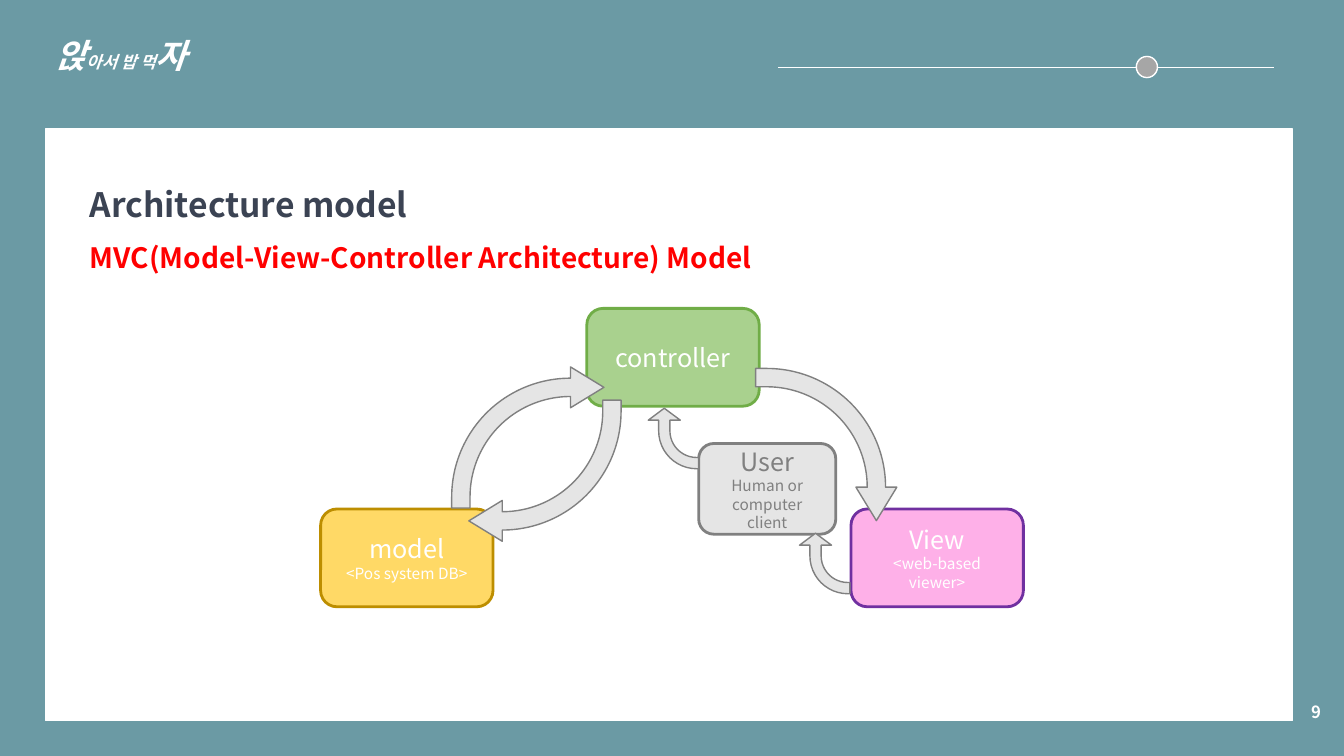
import pptx
import pptx.dml.color
import pptx.enum.shapes
import pptx.enum.text
import pptx.oxml.ns
import pptx.util
from lxml import etree

Inches = pptx.util.Inches
Pt = pptx.util.Pt
SHAPE = pptx.enum.shapes.MSO_SHAPE
ALIGN = pptx.enum.text.PP_ALIGN
ANCHOR = pptx.enum.text.MSO_ANCHOR
qn = pptx.oxml.ns.qn

FONT = "Noto Sans CJK KR"
COLORS = {
    "teal": "6B9AA4", "white": "FFFFFF", "navy": "3B4353", "red": "FF0000",
    "knob": "A6A6A6", "gray": "808080", "light gray": "E5E5E5",
    "yellow": "FFD966", "gold": "BD8E00", "light green": "A9D18E",
    "green": "70AD47", "pink": "FEB0E8", "purple": "7030A0",
}

TITLE = "Architecture model"
SUBTITLE = "MVC(Model-View-Controller Architecture) Model"
TEAM_NAME = [("앉", 24), ("아서 밥 먹", 12), ("자", 24)]
PAGE_NUMBER = "9"

COMPONENT_SIZE = (1.71, 0.97)
USER_SIZE = (1.36, 0.9)
# name, detail, position, size, fill, line, text colour
COMPONENTS = [
    ("model", "<Pos system DB>", (3.18, 5.05), COMPONENT_SIZE, "yellow", "gold", "white"),
    ("controller", None, (5.82, 3.06), COMPONENT_SIZE, "light green", "green", "white"),
    ("View", "<web-based viewer>", (8.44, 5.05), COMPONENT_SIZE, "pink", "purple", "white"),
    ("User", "Human or computer client", (6.93, 4.4), USER_SIZE, "light gray", "gray", "gray"),
]

LARGE_ARROW = ((1.51, 1.4), (0.13, 0.145, 0.237, 0.844))
SMALL_ARROW = ((0.6, 0.5), (0.223, 0.318, 0.237, 0.753))
# position, rotation, (size, adjustments)
ARROWS = [
    ((4.48, 3.64), 0, LARGE_ARROW),
    ((7.44, 3.71), 90, LARGE_ARROW),
    ((4.65, 3.97), 180, LARGE_ARROW),
    ((7.88, 5.34), 270, SMALL_ARROW),
    ((6.38, 4.1), 270, SMALL_ARROW),
]


def rgb(name):
    return pptx.dml.color.RGBColor.from_string(COLORS[name])


def add_run(paragraph, text, size, color, bold=False, italic=False):
    run = paragraph.add_run()
    run.text = text
    font = run.font
    font.size = Pt(size)
    font.bold = bold
    font.italic = italic
    font.color.rgb = rgb(color)
    font.name = FONT
    east_asian = etree.SubElement(run._r.get_or_add_rPr(), qn("a:ea"))
    east_asian.set("typeface", FONT)


def add_box(slide, kind, position, size, fill, line, line_width):
    shape = slide.shapes.add_shape(kind, *map(Inches, position + size))
    shape.shadow.inherit = False
    shape.fill.solid()
    shape.fill.fore_color.rgb = rgb(fill)
    shape.line.color.rgb = rgb(line)
    shape.line.width = Pt(line_width)
    return shape


def format_heading(shape, text, top, height, size, color):
    """Place a bold one-line heading on the panel's left text edge."""
    shape.left, shape.top = Inches(0.89), Inches(top)
    shape.width, shape.height = Inches(11.5), Inches(height)
    frame = shape.text_frame
    frame.word_wrap = True
    frame.auto_size = pptx.enum.text.MSO_AUTO_SIZE.NONE
    frame.vertical_anchor = ANCHOR.MIDDLE
    frame.margin_left = frame.margin_right = frame.margin_top = frame.margin_bottom = 0
    paragraph = frame.paragraphs[0]
    paragraph.alignment = ALIGN.LEFT
    add_run(paragraph, text, size, color, bold=True)


def add_header(slide):
    rule = slide.shapes.add_connector(
        pptx.enum.shapes.MSO_CONNECTOR.STRAIGHT,
        Inches(7.72), Inches(0.67), Inches(12.64), Inches(0.67))
    rule.line.color.rgb = rgb("white")
    rule.line.width = Pt(0.5)
    etree.SubElement(rule.element.spPr, qn("a:effectLst"))
    add_box(slide, SHAPE.OVAL, (11.27, 0.56), (0.21, 0.21), "knob", "white", 1)

    team = slide.shapes.add_textbox(Inches(0.45), Inches(0.1), Inches(4.63), Inches(0.63))
    team.text_frame.word_wrap = True
    paragraph = team.text_frame.paragraphs[0]
    paragraph.line_spacing = 1.5
    for text, size in TEAM_NAME:
        add_run(paragraph, text, size, "white", bold=True, italic=True)


def add_page_number(slide):
    box = slide.shapes.add_textbox(Inches(10.2), Inches(6.86), Inches(3), Inches(0.4))
    box.text_frame.word_wrap = True
    box.text_frame.vertical_anchor = ANCHOR.MIDDLE
    paragraph = box.text_frame.paragraphs[0]
    paragraph.alignment = ALIGN.RIGHT
    add_run(paragraph, PAGE_NUMBER, 12, "white", bold=True)


def add_component(slide, name, detail, position, size, fill, line, text_color):
    shape = add_box(slide, SHAPE.ROUNDED_RECTANGLE, position, size, fill, line, 2)
    frame = shape.text_frame
    frame.word_wrap = True
    frame.vertical_anchor = ANCHOR.MIDDLE
    paragraph = frame.paragraphs[0]
    paragraph.alignment = ALIGN.CENTER
    add_run(paragraph, name, 18, text_color)
    if detail:
        paragraph = frame.add_paragraph()
        paragraph.alignment = ALIGN.CENTER
        add_run(paragraph, detail, 11, text_color)


def add_arrow(slide, position, rotation, form):
    size, adjustments = form
    arrow = add_box(slide, SHAPE.BENT_ARROW, position, size, "light gray", "gray", 1)
    arrow.rotation = rotation
    for index, value in enumerate(adjustments):
        arrow.adjustments[index] = value


def main():
    presentation = pptx.Presentation()
    presentation.slide_width = Inches(13.33)
    presentation.slide_height = Inches(7.5)
    slide = presentation.slides.add_slide(presentation.slide_layouts.get_by_name("Title Only"))
    slide.background.fill.solid()
    slide.background.fill.fore_color.rgb = rgb("teal")

    add_header(slide)
    panel = add_box(slide, SHAPE.RECTANGLE, (0.45, 1.28), (12.37, 5.87), "white", "white", 1)
    title = slide.shapes.title
    panel.element.addnext(title.element)  # bring the title in front of the panel
    format_heading(title, TITLE, 1.78, 0.48, 24, "navy")
    subtitle = slide.shapes.add_textbox(0, 0, 0, 0)
    format_heading(subtitle, SUBTITLE, 2.35, 0.4, 20, "red")
    add_page_number(slide)

    for component in COMPONENTS:
        add_component(slide, *component)
    for arrow in ARROWS:
        add_arrow(slide, *arrow)
    presentation.save("out.pptx")


if __name__ == "__main__":
    main()
